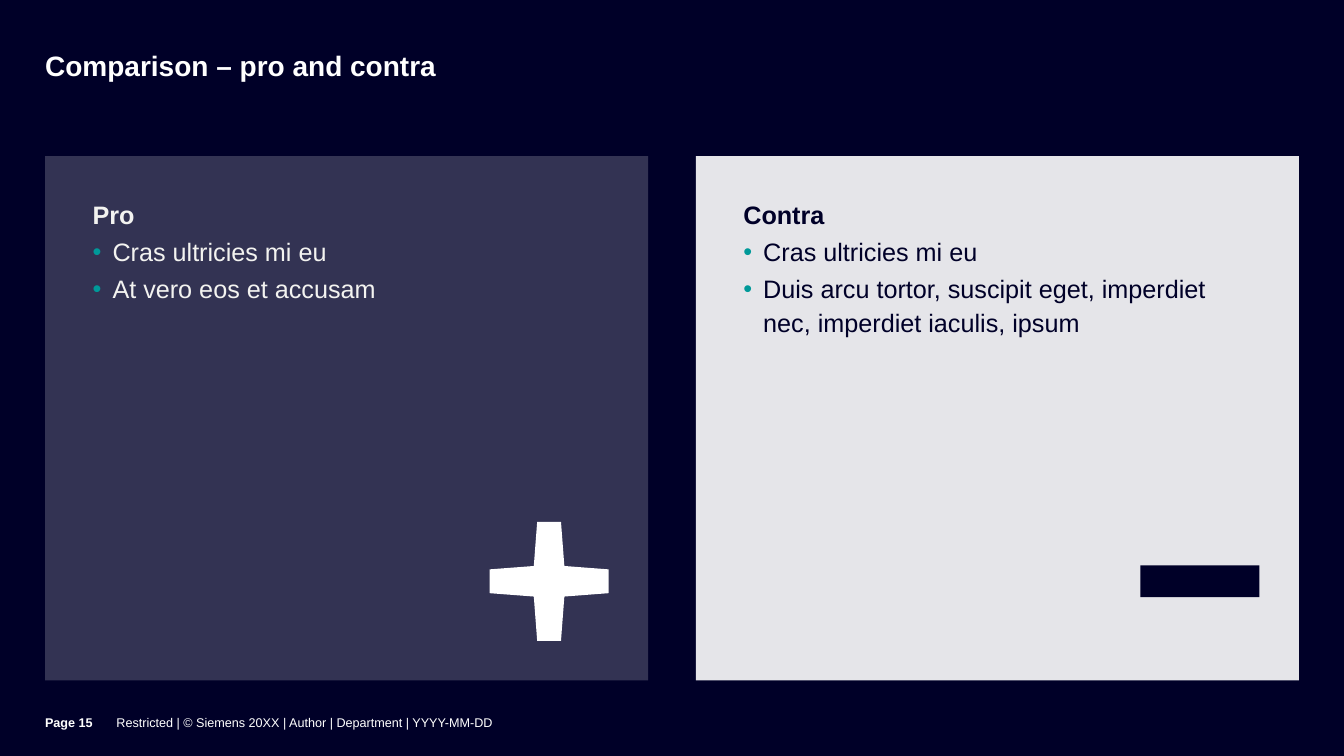
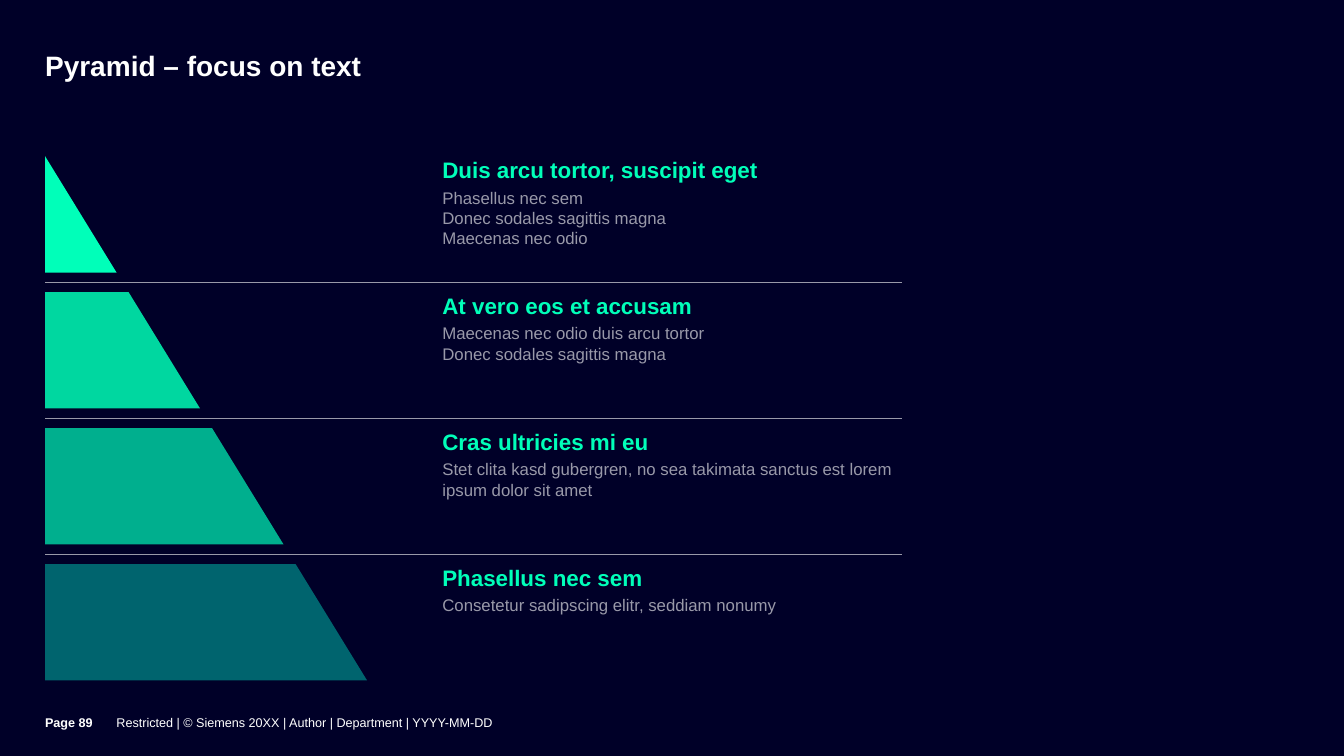
from copy import deepcopy

from lxml import etree
from pptx import Presentation
from pptx.dml.color import RGBColor
from pptx.enum import shapes, text
from pptx.oxml import ns
from pptx.util import Pt

FONT = "Arial"
NAVY, WHITE, MINT, TEAL, GRAY = "000028", "FFFFFF", "00FFB9", "009999", "9999A9"
LEFT, BODY_TOP, BODY_HEIGHT = 32.2, 111.6, 374.4
FOOTER = "Restricted | © Siemens 20XX | Author | Department | YYYY-MM-DD"


def rgb(color):
    return RGBColor.from_string(color)


def paint(shape, color):
    shape.shadow.inherit = False
    shape.fill.solid()
    shape.fill.fore_color.rgb = rgb(color)
    shape.line.fill.background()
    return shape


def set_frame(frame, insets, anchor=text.MSO_ANCHOR.TOP):
    """Insets run left, top, right, bottom."""
    frame.word_wrap = True
    frame.margin_left, frame.margin_top, frame.margin_right, frame.margin_bottom = map(Pt, insets)
    frame.vertical_anchor = anchor


def style(paragraph, size, color, bold=False):
    paragraph.alignment = text.PP_ALIGN.LEFT
    for run in paragraph.runs:
        run.font.name = FONT
        run.font.size = Pt(size)
        run.font.bold = bold
        run.font.color.rgb = rgb(color)
    # Line breaks take the run format too, so that they keep its line height.
    for line_break in paragraph._p.findall(ns.qn("a:br")):
        line_break.insert(0, deepcopy(paragraph.runs[0]._r.rPr))


def add_bullet(paragraph, indent, color):
    properties = paragraph._p.get_or_add_pPr()
    properties.set("marL", str(Pt(indent)))
    properties.set("indent", str(-Pt(indent)))
    bullet_color = etree.SubElement(properties, ns.qn("a:buClr"))
    etree.SubElement(bullet_color, ns.qn("a:srgbClr"), val=color)
    etree.SubElement(properties, ns.qn("a:buFont"), typeface=FONT)
    etree.SubElement(properties, ns.qn("a:buChar"), char="•")


def add_text(slide, box, insets=(0, 0, 0, 0), anchor=text.MSO_ANCHOR.TOP):
    frame = slide.shapes.add_textbox(*map(Pt, box)).text_frame
    set_frame(frame, insets, anchor)
    return frame


def add_label(slide, box, label, size, bold, insets, anchor):
    frame = add_text(slide, box, insets, anchor)
    frame.text = label
    style(frame.paragraphs[0], size, WHITE, bold)
    return frame.paragraphs[0]


def add_polygon(slide, points, color):
    corners = [(Pt(x), Pt(y)) for x, y in points]
    builder = slide.shapes.build_freeform(*corners[0])
    builder.add_line_segments(corners[1:], close=True)
    return paint(builder.convert_to_shape(), color)


def add_base_slide(deck, title, page):
    """Adds a slide with background, title and footer."""
    slide = deck.slides.add_slide(deck.slide_layouts[6])
    slide.background.fill.solid()
    slide.background.fill.fore_color.rgb = rgb(NAVY)
    heading = add_label(slide, (LEFT, 37.4, 777, 45.4), title, 20, True,
                        (0, 0, 25, 1.4), text.MSO_ANCHOR.TOP)
    heading.line_spacing = 0.9
    footer_parts = ((LEFT, 51, f"Page {page}", True), (LEFT + 51, 726, FOOTER, False))
    for left, width, label, bold in footer_parts:
        add_label(slide, (left, 497, width, 43), label, 9, bold,
                  (0, 0, 0, 5), text.MSO_ANCHOR.MIDDLE)
    return slide


def add_plus(slide, box, color):
    left, top, size, _ = box
    half, tip, root = size / 2, 8.5, 10.9
    arm = [(-root, -root), (-tip, -half), (tip, -half)]
    offsets = []
    for _ in range(4):
        offsets += arm
        arm = [(-y, x) for x, y in arm]
    add_polygon(slide, [(left + half + x, top + half + y) for x, y in offsets], color)


def add_minus(slide, box, color):
    left, top, size, _ = box
    thickness = 22.6
    bar = (left, top + (size - thickness) / 2, size, thickness)
    paint(slide.shapes.add_shape(shapes.MSO_SHAPE.RECTANGLE, *map(Pt, bar)), color)


def add_panel(slide, box, heading, points, fill, text_color, add_symbol, symbol_color):
    left, top, width, height = box
    panel = paint(slide.shapes.add_shape(shapes.MSO_SHAPE.RECTANGLE, *map(Pt, box)), fill)
    frame = panel.text_frame
    set_frame(frame, (34, 28.3, 34, 28.3))
    frame.text = "\n".join([heading, *points])
    for index, paragraph in enumerate(frame.paragraphs):
        paragraph.line_spacing = 1.1
        paragraph.space_after = Pt(3)
        if index:
            add_bullet(paragraph, 14.2, TEAL)
        style(paragraph, 18, text_color, bold=index == 0)
    size, margin = 85, 28.3
    symbol_box = (left + width - margin - size, top + height - margin - size, size, size)
    add_symbol(slide, symbol_box, symbol_color)


def build_comparison(deck):
    slide = add_base_slide(deck, "Comparison –\u00a0pro and contra", 15)
    width, gap = 430.8, 34
    panels = (
        ("Pro", ("Cras ultricies mi eu", "At vero eos et accusam"),
         "333353", "F3F3F0", add_plus, WHITE),
        ("Contra", ("Cras ultricies mi eu",
                    "Duis arcu tortor, suscipit eget, imperdiet nec, imperdiet iaculis, ipsum"),
         "E5E5E9", NAVY, add_minus, NAVY),
    )
    for column, panel in enumerate(panels):
        box = (LEFT + column * (width + gap), BODY_TOP, width, BODY_HEIGHT)
        add_panel(slide, box, *panel)


def add_rule(slide, left, right, y):
    rule = slide.shapes.add_connector(shapes.MSO_CONNECTOR.STRAIGHT,
                                      Pt(left), Pt(y), Pt(right), Pt(y))
    rule.line.color.rgb = rgb(GRAY)
    rule.line.width = Pt(1)
    etree.SubElement(rule._element.spPr, ns.qn("a:effectLst"))


def add_level_text(slide, box, heading, details):
    frame = add_text(slide, box)
    frame.text = heading
    style(frame.paragraphs[0], 16, MINT, bold=True)
    body = frame.add_paragraph()
    body.text = details
    body.space_before = Pt(3)
    style(body, 12, GRAY)


def add_pyramid(slide, box, levels):
    """Cuts a right-angled triangle into equal levels, each with its text."""
    left, top, width, height = box
    gap, base, text_left = 14, 230, 283.8
    level_height = (height - gap * (len(levels) - 1)) / len(levels)
    slope = base / height
    for index, (color, heading, details) in enumerate(levels):
        offset = index * (level_height + gap)
        upper, lower = top + offset, top + offset + level_height
        corners = [(left, upper), (left + offset * slope, upper),
                   (left + (offset + level_height) * slope, lower), (left, lower)]
        add_polygon(slide, corners if index else corners[1:], color)
        if index:
            add_rule(slide, left, left + width, upper - gap / 2)
        text_box = (left + text_left, upper, width - text_left, level_height)
        add_level_text(slide, text_box, heading, details)


def build_pyramid(deck):
    slide = add_base_slide(deck, "Pyramid – focus on text", 89)
    levels = (
        (MINT, "Duis arcu tortor, suscipit eget",
         "Phasellus nec sem\nDonec sodales sagittis magna\nMaecenas nec odio"),
        ("00D7A0", "At vero eos et accusam",
         "Maecenas nec odio duis arcu tortor\nDonec sodales sagittis magna"),
        ("00AF8E", "Cras ultricies mi eu",
         "Stet clita kasd gubergren, no sea takimata sanctus est lorem ipsum dolor sit amet"),
        ("00646E", "Phasellus nec sem", "Consetetur sadipscing elitr, seddiam nonumy"),
    )
    add_pyramid(slide, (LEFT, BODY_TOP, 612.4, BODY_HEIGHT), levels)


def main():
    deck = Presentation()
    deck.slide_width, deck.slide_height = Pt(960), Pt(540)
    build_comparison(deck)
    build_pyramid(deck)
    deck.save("out.pptx")


if __name__ == "__main__":
    main()
